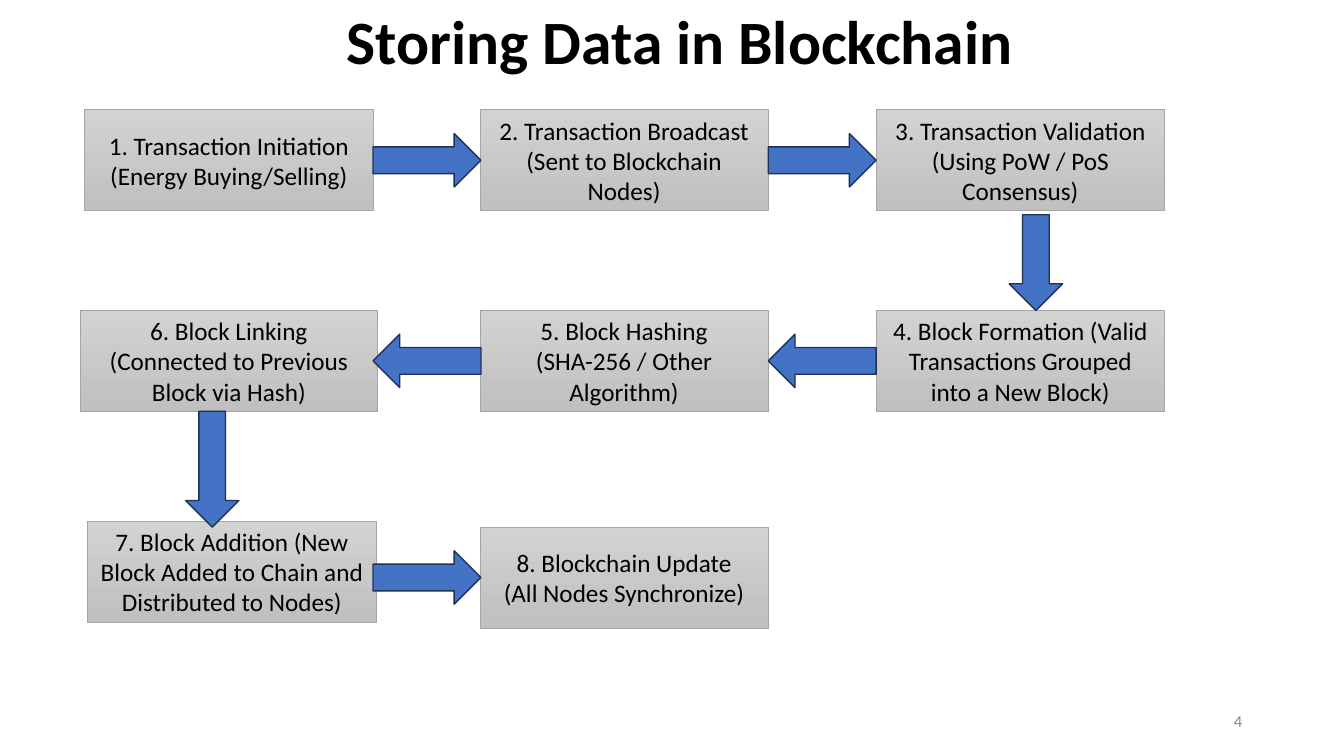
from pptx import Presentation
from pptx.dml.color import RGBColor
from pptx.enum.shapes import MSO_SHAPE
from pptx.enum.text import MSO_ANCHOR, PP_ALIGN
from pptx.util import Inches, Pt

COLUMNS = (0.84, 4.76, 8.69)
ROWS = (1.09, 3.08, 5.23)
BOX_WIDTH, BOX_HEIGHT = 2.86, 1.0
GAP = 1.07
ARROW_WIDTH = 0.53

# Text, then left, top and width of each step
STEPS = [
    ("1. Transaction Initiation (Energy Buying/Selling)", COLUMNS[0], ROWS[0], BOX_WIDTH),
    ("2. Transaction Broadcast (Sent to Blockchain Nodes)", COLUMNS[1], ROWS[0], BOX_WIDTH),
    ("3. Transaction Validation (Using PoW / PoS Consensus)", COLUMNS[2], ROWS[0], BOX_WIDTH),
    ("4. Block Formation (Valid Transactions Grouped into a New Block)",
     COLUMNS[2], ROWS[1], BOX_WIDTH),
    ("5. Block Hashing\n(SHA-256 / Other Algorithm)", COLUMNS[1], ROWS[1], BOX_WIDTH),
    ("6. Block Linking\v(Connected to Previous Block via Hash)", 0.8, ROWS[1], 2.94),
    ("7. Block Addition (New Block Added to Chain and Distributed to Nodes)",
     0.87, 5.17, BOX_WIDTH),
    ("8. Blockchain Update\n(All Nodes Synchronize)", COLUMNS[1], ROWS[2], BOX_WIDTH),
]

# Column to the left of the arrow, row, rotation
ACROSS = [(0, 0, 0), (1, 0, 0), (1, 1, 180), (0, 1, 180), (0, 2, 0)]
# Left, top and height
DOWN = [(10.01, 2.13, 0.95), (1.84, 4.08, 1.15)]


def color(value):
    return RGBColor.from_string(value)


def write(shape, text, size=18, ink="000000", bold=False,
          align=PP_ALIGN.CENTER, anchor=MSO_ANCHOR.MIDDLE, wrap=True):
    frame = shape.text_frame
    frame.text = text
    frame.word_wrap = wrap
    frame.vertical_anchor = anchor
    for para in frame.paragraphs:
        para.alignment = align
        for span in para.runs:
            span.font.name = "Calibri"
            span.font.size = Pt(size)
            span.font.bold = bold
            span.font.color.rgb = color(ink)


def add_outlined(page, kind, left, top, width, height, line, weight):
    shape = page.shapes.add_shape(
        kind, Inches(left), Inches(top), Inches(width), Inches(height))
    shape.shadow.inherit = False
    shape.line.color.rgb = color(line)
    shape.line.width = Pt(weight)
    return shape


def add_step(page, text, left, top, width):
    box = add_outlined(page, MSO_SHAPE.RECTANGLE, left, top, width, BOX_HEIGHT, "A5A5A5", 0.5)
    box.fill.gradient()
    box.fill.gradient_angle = 270
    for stop, shade in zip(box.fill.gradient_stops, ("D2D2D2", "C0C0C0")):
        stop.color.rgb = color(shade)
    write(box, text)


def add_arrow(page, kind, left, top, width, height, rotation=0):
    arrow = add_outlined(page, kind, left, top, width, height, "1E3256", 1)
    arrow.fill.solid()
    arrow.fill.fore_color.rgb = color("4472C4")
    arrow.rotation = rotation


def add_title(page, text, left, top, width, height):
    title = page.shapes.title
    title.left, title.top = Inches(left), Inches(top)
    title.width, title.height = Inches(width), Inches(height)
    write(title, text, size=44, bold=True, wrap=False)


def add_page_number(page, text, left, top, width, height):
    box = page.shapes.add_textbox(Inches(left), Inches(top), Inches(width), Inches(height))
    write(box, text, size=12, ink="8C8C8C", align=PP_ALIGN.RIGHT)


def add_flow(page):
    # Steps
    for step in STEPS:
        add_step(page, *step)
    # Arrows between columns, centred on the row
    for column, row, rotation in ACROSS:
        add_arrow(page, MSO_SHAPE.RIGHT_ARROW, COLUMNS[column] + BOX_WIDTH,
                  ROWS[row] + (BOX_HEIGHT - ARROW_WIDTH) / 2, GAP, ARROW_WIDTH, rotation)
    # Arrows between rows
    for left, top, height in DOWN:
        add_arrow(page, MSO_SHAPE.DOWN_ARROW, left, top, ARROW_WIDTH, height)


def main():
    deck = Presentation()
    deck.slide_width, deck.slide_height = Inches(13.33), Inches(7.5)
    page = deck.slides.add_slide(deck.slide_layouts[5])
    add_title(page, "Storing Data in Blockchain", 3.31, -0.02, 6.87, 0.84)
    add_flow(page)
    add_page_number(page, "4", 9.42, 6.95, 3, 0.4)
    deck.save("out.pptx")


if __name__ == "__main__":
    main()
